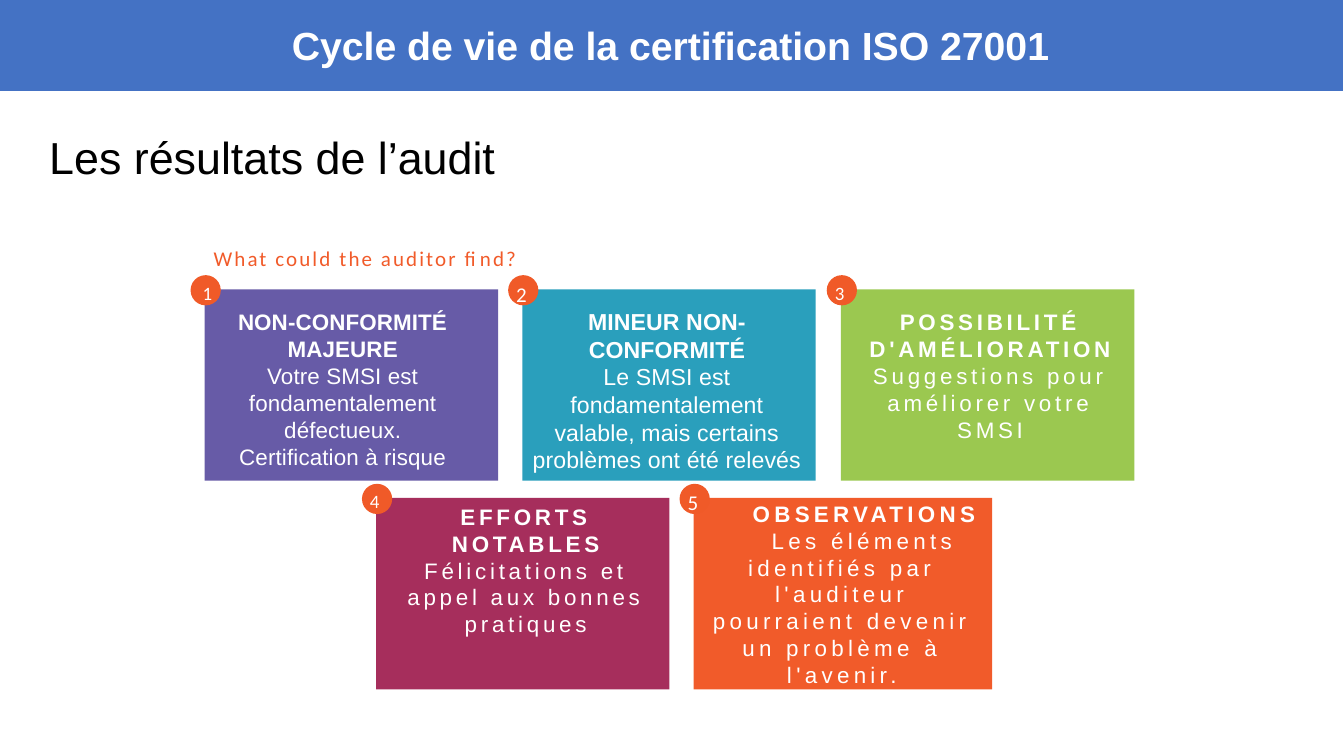
from dataclasses import dataclass

from pptx import Presentation
from pptx.dml.color import RGBColor
from pptx.enum.shapes import MSO_SHAPE
from pptx.enum.text import MSO_ANCHOR, MSO_AUTO_SIZE, PP_ALIGN
from pptx.util import Inches, Pt

WHITE = "FFFFFF"
ORANGE = "F15B2A"
BADGE = 0.3
OFFSET = 0.14


@dataclass
class Style:
    size: float
    color: str = WHITE
    font: str = "Arial"
    gap: float = 0
    align: PP_ALIGN = PP_ALIGN.LEFT
    margin: float = 0
    indent: float = 0


@dataclass
class Card:
    left: float
    top: float
    width: float
    color: str
    area: tuple[float, float, float, float]
    lines: list[str]
    style: Style
    digit: Style
    shift: float = 0.07


def paint(target, color: str) -> None:
    target.rgb = RGBColor.from_string(color)


def block(slide, kind: MSO_SHAPE, left: float, top: float,
          width: float, height: float, color: str):
    shape = slide.shapes.add_shape(
        kind, Inches(left), Inches(top), Inches(width), Inches(height))
    shape.shadow.inherit = False
    shape.fill.solid()
    paint(shape.fill.fore_color, color)
    shape.line.fill.background()
    return shape


def write(frame, lines: list[str], style: Style, bold: bool = False) -> None:
    for index, line in enumerate(lines):
        para = frame.add_paragraph() if index else frame.paragraphs[0]
        para.alignment = style.align
        props = para._p.get_or_add_pPr()
        props.set("marL", str(Inches(style.margin)))
        props.set("indent", str(Inches(style.indent)))
        run = para.add_run()
        run.text = line
        if style.gap:
            run._r.get_or_add_rPr().set("spc", str(round(style.gap * 100)))
        para.font.name = style.font
        para.font.size = Pt(style.size)
        para.font.bold = bold and index == 0
        paint(para.font.color, style.color)


def label(slide, left: float, top: float, width: float, height: float,
          lines: list[str], style: Style, bold: bool = False) -> None:
    box = slide.shapes.add_textbox(
        Inches(left), Inches(top), Inches(width), Inches(height))
    frame = box.text_frame
    frame.margin_left = frame.margin_right = 0
    frame.margin_top = frame.margin_bottom = 0
    frame.word_wrap = True
    frame.auto_size = MSO_AUTO_SIZE.SHAPE_TO_FIT_TEXT
    write(frame, lines, style, bold)


def draw(slide, card: Card, number: int) -> None:
    block(slide, MSO_SHAPE.RECTANGLE, card.left, card.top, card.width, 1.9, card.color)
    label(slide, *card.area, card.lines, card.style, True)
    left, top = card.left - OFFSET, card.top - OFFSET
    block(slide, MSO_SHAPE.OVAL, left, top, BADGE, BADGE, "F05A28")
    label(slide, left + card.shift, top + 0.06, 0.15, 0.23, [str(number)], card.digit)


def body(size: float, gap: float, margin: float = 0, indent: float = 0) -> Style:
    return Style(size, gap=gap, align=PP_ALIGN.CENTER, margin=margin, indent=indent)


def digit(size: float, gap: float) -> Style:
    return Style(size, font="Calibri", gap=gap, margin=0.01)


CARDS = [
    Card(2.03, 2.87, 2.91, "675BA7", (2.13, 3.06, 2.54, 1.62),
         ["NON-CONFORMITÉ MAJEURE",
          "Votre SMSI est fondamentalement défectueux.",
          "Certification à risque"],
         body(16, 0.1), digit(13.5, -1.5), 0.11),
    Card(5.18, 2.87, 2.91, "2A9FBC", (5.27, 3.05, 2.69, 1.67),
         ["MINEUR NON-CONFORMITÉ",
          "Le SMSI est fondamentalement valable, "
          "mais certains problèmes ont été relevés"],
         body(16.5, 0.1), digit(15, 1.6)),
    Card(8.34, 2.87, 2.91, "9BC850", (8.4, 3.06, 2.75, 1.35),
         ["POSSIBILITÉ D'AMÉLIORATION",
          "Suggestions pour améliorer votre SMSI"],
         body(16, 2.7, 0.09), digit(13.5, 1.4)),
    Card(3.73, 4.94, 2.91, "A62E5C", (3.8, 4.99, 2.83, 1.35),
         ["EFFORTS NOTABLES",
          "Félicitations et appel aux bonnes pratiques"],
         body(16, 2.7), digit(13.5, 2.3)),
    Card(6.88, 4.94, 2.96, ORANGE, (6.96, 4.96, 2.77, 1.88),
         ["OBSERVATIONS",
          "Les éléments identifiés par l'auditeur "
          "pourraient devenir un problème à l'avenir."],
         body(16, 3.1, 0.01, 0.44), digit(15, 1.6)),
]


def main() -> None:
    deck = Presentation()
    deck.slide_width, deck.slide_height = Inches(13.33), Inches(7.5)
    slide = deck.slides.add_slide(deck.slide_layouts[6])

    for number, card in enumerate(CARDS, 1):
        draw(slide, card, number)
    label(slide, 2.11, 2.44, 3.04, 0.25, ["What could the auditor find?"],
          Style(15, ORANGE, "Calibri", 1.5, margin=0.01))

    head = slide.shapes.add_textbox(
        Inches(0.39), Inches(1.24), Inches(4.66), Inches(0.64))
    head.text_frame.word_wrap = False
    head.text_frame.auto_size = MSO_AUTO_SIZE.SHAPE_TO_FIT_TEXT
    write(head.text_frame, ["Les résultats de l’audit"], Style(32, "000000"))

    banner = block(slide, MSO_SHAPE.RECTANGLE, -0.03, -0.03, 13.36, 0.94, "4472C4")
    banner.line.width = Pt(1.5)
    banner.line.fill.solid()
    paint(banner.line.color, WHITE)
    banner.text_frame.vertical_anchor = MSO_ANCHOR.MIDDLE
    write(banner.text_frame, ["Cycle de vie de la certification ISO 27001"],
          body(28, 0), True)

    deck.save("out.pptx")


if __name__ == "__main__":
    main()
